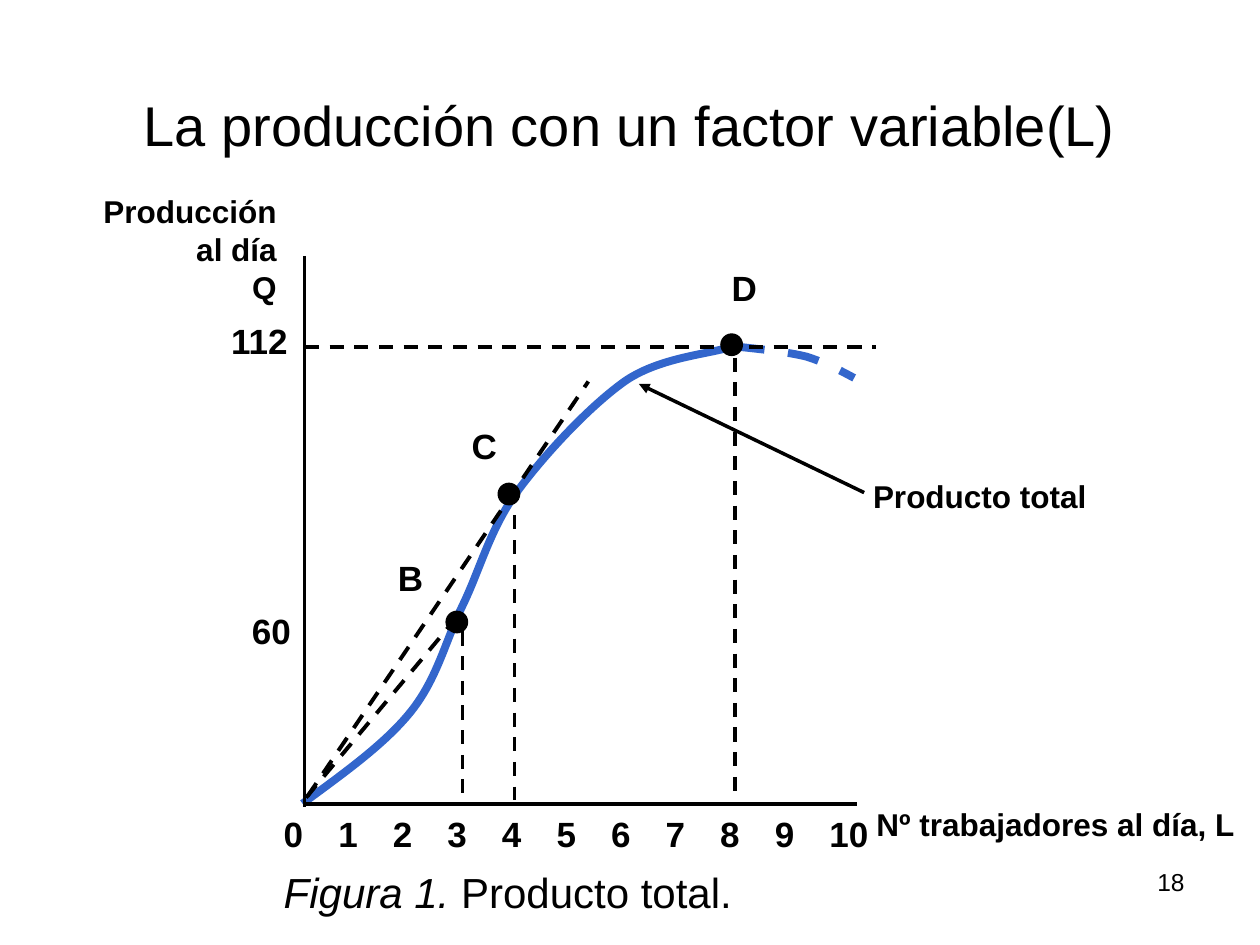
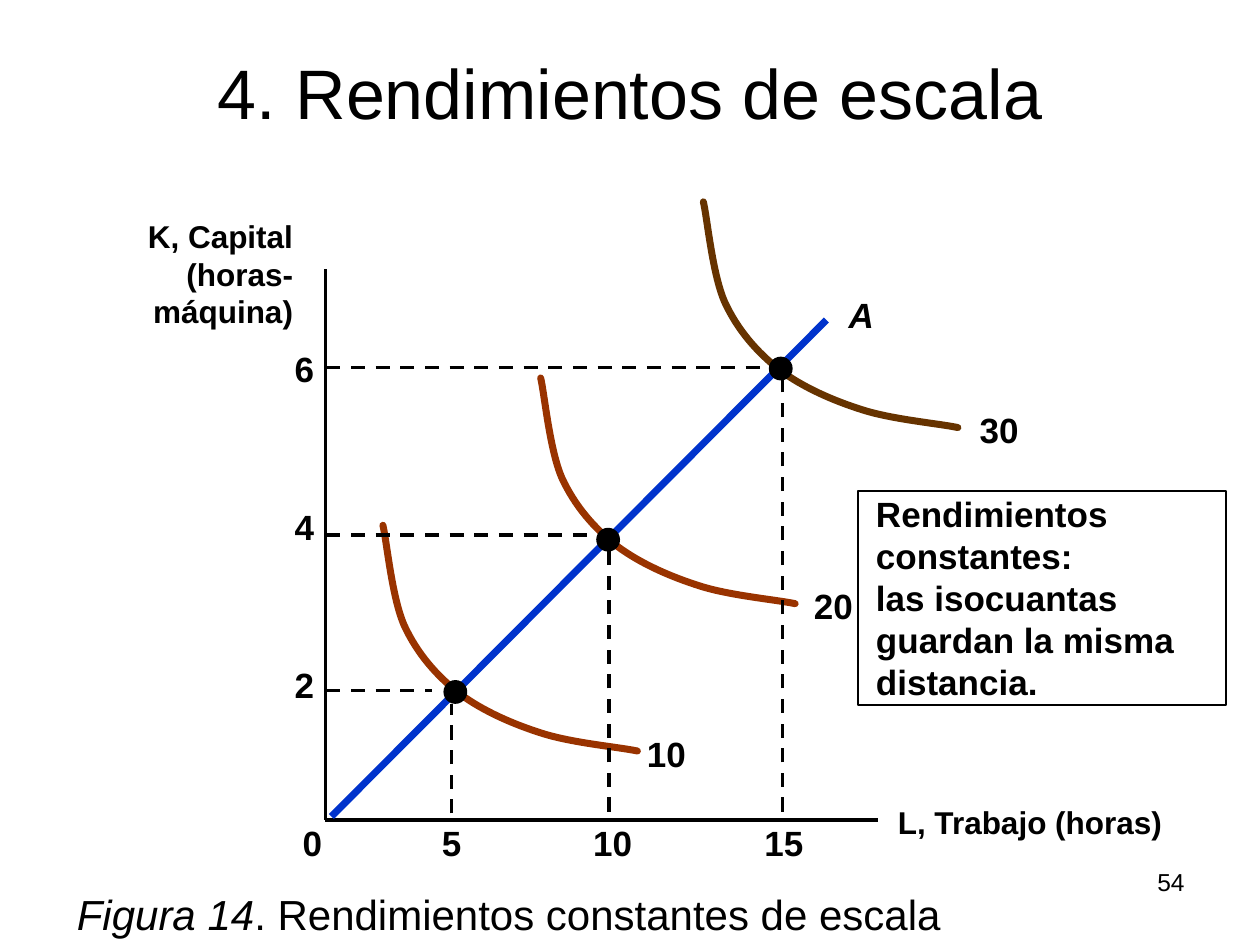
import pptx
import pptx.dml.color
import pptx.enum.dml
import pptx.enum.shapes
import pptx.enum.text
import pptx.oxml.ns
import pptx.util
from lxml import etree

Cm = pptx.util.Cm
Pt = pptx.util.Pt
qn = pptx.oxml.ns.qn
ALIGN = pptx.enum.text.PP_ALIGN
ANCHOR = pptx.enum.text.MSO_ANCHOR
AUTO_SIZE = pptx.enum.text.MSO_AUTO_SIZE

FONT = "Arial"
BLACK, BLUE, NAVY, RUST, BROWN = "000000", "3366CC", "0033CC", "993300", "663300"
PAGE_NUMBER_BOX = (18.21, 17.35, 5.92, 1.32)
INSETS = (0.25, 0.13, 0.25, 0.13)
ONE_DIGIT, TWO_DIGITS, THREE_DIGITS, LETTER = 0.9, 1.3, 1.68, 1.02

# Curves list their start, then two controls and an end for each piece (cm).
TOTAL_PRODUCT = [
    (6.1, 16.2),
    (6.91, 15.6), (7.75, 15.01), (8.28, 14.35),
    (8.81, 13.69), (8.97, 12.95), (9.32, 12.22),
    (9.68, 11.48), (9.86, 10.72), (10.39, 9.96),
    (10.95, 9.19), (11.89, 8.18), (12.62, 7.67),
    (13.34, 7.19), (14.33, 7.14), (14.78, 6.98),
]
FALLING_PRODUCT = [
    (14.78, 6.98),
    (15.32, 7.04), (15.85, 7.09), (16.26, 7.19),
    (16.66, 7.32), (16.94, 7.47), (17.22, 7.62),
]
ISOQUANT = [
    (0, 0),
    (0.08, 0.34), (0.18, 1.45), (0.43, 2.02),
    (0.69, 2.58), (1.07, 3.02), (1.54, 3.39),
    (2.01, 3.74), (2.62, 4.01), (3.23, 4.2),
    (3.84, 4.39), (4.75, 4.47), (5.13, 4.55),
]
ISOQUANT_STARTS = [(7.72, 10.59, RUST), (10.9, 7.62, RUST), (14.18, 4.07, BROWN)]

DASHED = {"dashed": True}
RIGHT = {"size": 18, "align": ALIGN.RIGHT}

# Labels: lines of text, left, top, width, options.
# Lines: x1, y1, x2, y2, options. Dots: centre x, centre y.
PRODUCTION = {
    "title": ("La producción con un factor variable(L)", (0, 1.15, 25.4, 2.16), 32),
    "caption": (("Figura 1.", " Producto total."), (5.47, 17.33, 13.41, 1.32), ANCHOR.TOP),
    "page": "18",
    "curves": [
        (FALLING_PRODUCT, BLUE, 4.5, DASHED),
        (TOTAL_PRODUCT, BLUE, 4.5, {}),
    ],
    "lines": [
        (17.42, 9.93, 12.88, 7.74, {"arrow": True}),
        (6.15, 6.99, 17.65, 6.99, DASHED),
        (9.32, 12.73, 9.32, 16.13, DASHED),
        (10.37, 10.39, 10.37, 16.13, DASHED),
        (14.82, 7.21, 14.82, 16.13, DASHED),
        (6.14, 5.16, 6.14, 16.26, {}),
        (6.14, 16.21, 17.27, 16.21, {}),
        (6.2, 16.05, 11.86, 7.69, {"dashed": True, "width": 2.25}),
        (6.17, 16.08, 9.27, 12.37, {"dashed": True, "width": 2.25}),
    ],
    "labels": [
        (["Producto total"], 17.35, 9.49, 4.9, {"size": 18}),
        (["Nº trabajadores al día, L"], 17.42, 16.1, 7.72, {"size": 18}),
        (["Producción", "al día", "Q"], 1.79, 3.75, 4.04, RIGHT),
        (["60"], 4.83, 12.15, TWO_DIGITS, {}),
        (["112"], 4.41, 6.32, THREE_DIGITS, {}),
        (["B"], 7.77, 11.09, LETTER, {}),
        (["C"], 9.26, 8.43, LETTER, {}),
        (["D"], 14.5, 5.24, LETTER, {}),
    ] + [
        ([str(workers)], 5.47 + 1.1 * workers, 16.25,
         ONE_DIGIT if workers < 10 else TWO_DIGITS, {})
        for workers in range(11)
    ],
    "dots": [(14.75, 6.95), (10.26, 9.96), (9.21, 12.54)],
    "dot_size": 0.46,
}
SCALE_RETURNS = {
    "title": ("4. Rendimientos de escala", (1.27, 0, 22.86, 2.82), 40),
    "caption": (("Figura 14", ". Rendimientos constantes de escala"),
                (1.3, 16.64, 22.86, 2.41), ANCHOR.BOTTOM),
    "page": "54",
    "curves": [
        ([(left + x, top + y) for x, y in ISOQUANT], color, 4, {"round_cap": True})
        for left, top, color in ISOQUANT_STARTS
    ],
    "lines": [
        (6.56, 5.43, 6.56, 16.54, {}),
        (6.56, 16.53, 17.7, 16.53, {}),
        (6.58, 10.79, 11.89, 10.79, DASHED),
        (6.58, 13.92, 8.71, 13.92, DASHED),
        (6.58, 7.41, 15.44, 7.41, DASHED),
        (9.1, 16.4, 9.1, 14.2, DASHED),
        (12.28, 16.36, 12.28, 10.92, DASHED),
        (15.77, 16.36, 15.77, 7.42, DASHED),
        (6.68, 16.46, 16.66, 6.45, {"color": NAVY, "width": 4}),
    ],
    "labels": [
        (["K, Capital", "(horas-", "máquina)"], 2.73, 4.24, 3.43, RIGHT),
        (["L, Trabajo (horas)"], 17.85, 16.05, 5.87, {"size": 18}),
        (["A"], 16.86, 5.79, LETTER, {"italic": True}),
        (["10"], 12.79, 14.63, TWO_DIGITS, {}),
        (["20"], 16.16, 11.66, TWO_DIGITS, {}),
        (["30"], 19.5, 8.11, TWO_DIGITS, {}),
        (["0"], 5.85, 16.43, ONE_DIGIT, {}),
        (["5"], 8.66, 16.43, ONE_DIGIT, {}),
        (["10"], 11.71, 16.43, TWO_DIGITS, {}),
        (["15"], 15.16, 16.43, TWO_DIGITS, {}),
        (["2"], 5.69, 13.25, ONE_DIGIT, {}),
        (["4"], 5.69, 10.06, ONE_DIGIT, {}),
        (["6"], 5.69, 6.88, ONE_DIGIT, {}),
    ],
    "dots": [(12.26, 10.88), (9.18, 13.95), (15.74, 7.43)],
    "dot_size": 0.48,
}
NOTE = ["Rendimientos constantes:", "las isocuantas guardan la misma distancia."]
NOTE_BOX = (17.3, 9.9, 7.42, 4.32)
NOTE_INSETS = (0.36, 0.03, 0.05, 0.03)


def rgb(color):
    return pptx.dml.color.RGBColor.from_string(color)


def lengths(values):
    return [Cm(value) for value in values]


def set_line(item, color, width, dashed=False):
    item.line.color.rgb = rgb(color)
    item.line.width = Pt(width)
    if dashed:
        item.line.dash_style = pptx.enum.dml.MSO_LINE.DASH


def line_element(item):
    return item._element.spPr.find(qn("a:ln"))


def write(shape, paragraphs, size, align=ALIGN.LEFT, anchor=ANCHOR.TOP,
          insets=INSETS, bold=False, wrap=True):
    """Fill a shape with paragraphs, each a list of (text, italic) runs."""
    frame = shape.text_frame
    frame.word_wrap = wrap
    frame.vertical_anchor = anchor
    (frame.margin_left, frame.margin_top,
     frame.margin_right, frame.margin_bottom) = lengths(insets)
    for index, runs in enumerate(paragraphs):
        paragraph = frame.paragraphs[0] if index == 0 else frame.add_paragraph()
        paragraph.alignment = align
        for text, italic in runs:
            run = paragraph.add_run()
            run.text = text
            run.font.name = FONT
            run.font.size = Pt(size)
            run.font.bold = bold
            run.font.italic = italic
            run.font.color.rgb = rgb(BLACK)


def add_text(slide, box, paragraphs, size, **options):
    shape = slide.shapes.add_textbox(*lengths(box))
    write(shape, paragraphs, size, **options)
    return shape


def add_label(slide, lines, left, top, width, size=20, align=ALIGN.LEFT, italic=False):
    height = len(lines) * Pt(size * 1.2).cm + INSETS[1] + INSETS[3]
    shape = add_text(slide, (left, top, width, height), [[(line, italic)] for line in lines],
                     size, align=align, bold=True, wrap=False)
    shape.text_frame.auto_size = AUTO_SIZE.SHAPE_TO_FIT_TEXT


def add_line(slide, x1, y1, x2, y2, color=BLACK, width=2, dashed=False, arrow=False):
    connector = slide.shapes.add_connector(
        pptx.enum.shapes.MSO_CONNECTOR.STRAIGHT, *lengths((x1, y1, x2, y2)))
    set_line(connector, color, width, dashed)
    if arrow:
        etree.SubElement(line_element(connector), qn("a:tailEnd"), type="triangle")
    etree.SubElement(connector._element.spPr, qn("a:effectLst"))


def bend_segments(curve):
    """Turn every three straight segments into one cubic Bezier piece."""
    segments = list(curve._element.spPr.iter(qn("a:lnTo")))
    for first in range(0, len(segments), 3):
        piece = segments[first:first + 3]
        bezier = etree.Element(qn("a:cubicBezTo"))
        piece[0].addprevious(bezier)
        for segment in piece:
            bezier.append(segment[0])
            segment.getparent().remove(segment)


def add_curve(slide, nodes, color, width, dashed=False, round_cap=False):
    start, *rest = [lengths(node) for node in nodes]
    builder = slide.shapes.build_freeform(*start)
    builder.add_line_segments(rest, close=False)
    curve = builder.convert_to_shape()
    bend_segments(curve)
    curve.shadow.inherit = False
    curve.fill.background()
    set_line(curve, color, width, dashed)
    if round_cap:
        line_element(curve).set("cap", "rnd")


def add_dot(slide, x, y, size):
    dot = slide.shapes.add_shape(
        pptx.enum.shapes.MSO_SHAPE.OVAL, *lengths((x - size / 2, y - size / 2, size, size)))
    dot.shadow.inherit = False
    dot.fill.solid()
    dot.fill.fore_color.rgb = rgb(BLACK)
    dot.line.fill.background()


def add_note(slide):
    note = slide.shapes.add_shape(pptx.enum.shapes.MSO_SHAPE.RECTANGLE, *lengths(NOTE_BOX))
    note.shadow.inherit = False
    note.fill.background()
    set_line(note, BLACK, 1)
    write(note, [[(line, False)] for line in NOTE], 20, insets=NOTE_INSETS, bold=True)


def add_figure_slide(presentation, figure):
    slide = presentation.slides.add_slide(presentation.slide_layouts[6])
    title, title_box, title_size = figure["title"]
    add_text(slide, title_box, [[(title, False)]], title_size,
             align=ALIGN.CENTER, anchor=ANCHOR.BOTTOM)
    (number, description), caption_box, anchor = figure["caption"]
    add_text(slide, caption_box, [[(number, True), (description, False)]], 24, anchor=anchor)
    add_text(slide, PAGE_NUMBER_BOX, [[(figure["page"], False)]], 14, align=ALIGN.RIGHT)
    for *curve, options in figure["curves"]:
        add_curve(slide, *curve, **options)
    for *ends, options in figure["lines"]:
        add_line(slide, *ends, **options)
    for *label, options in figure["labels"]:
        add_label(slide, *label, **options)
    for x, y in figure["dots"]:
        add_dot(slide, x, y, figure["dot_size"])
    return slide


def main():
    presentation = pptx.Presentation()
    presentation.slide_width, presentation.slide_height = Cm(25.4), Cm(19.05)
    add_figure_slide(presentation, PRODUCTION)
    add_note(add_figure_slide(presentation, SCALE_RETURNS))
    presentation.save("out.pptx")


if __name__ == "__main__":
    main()
